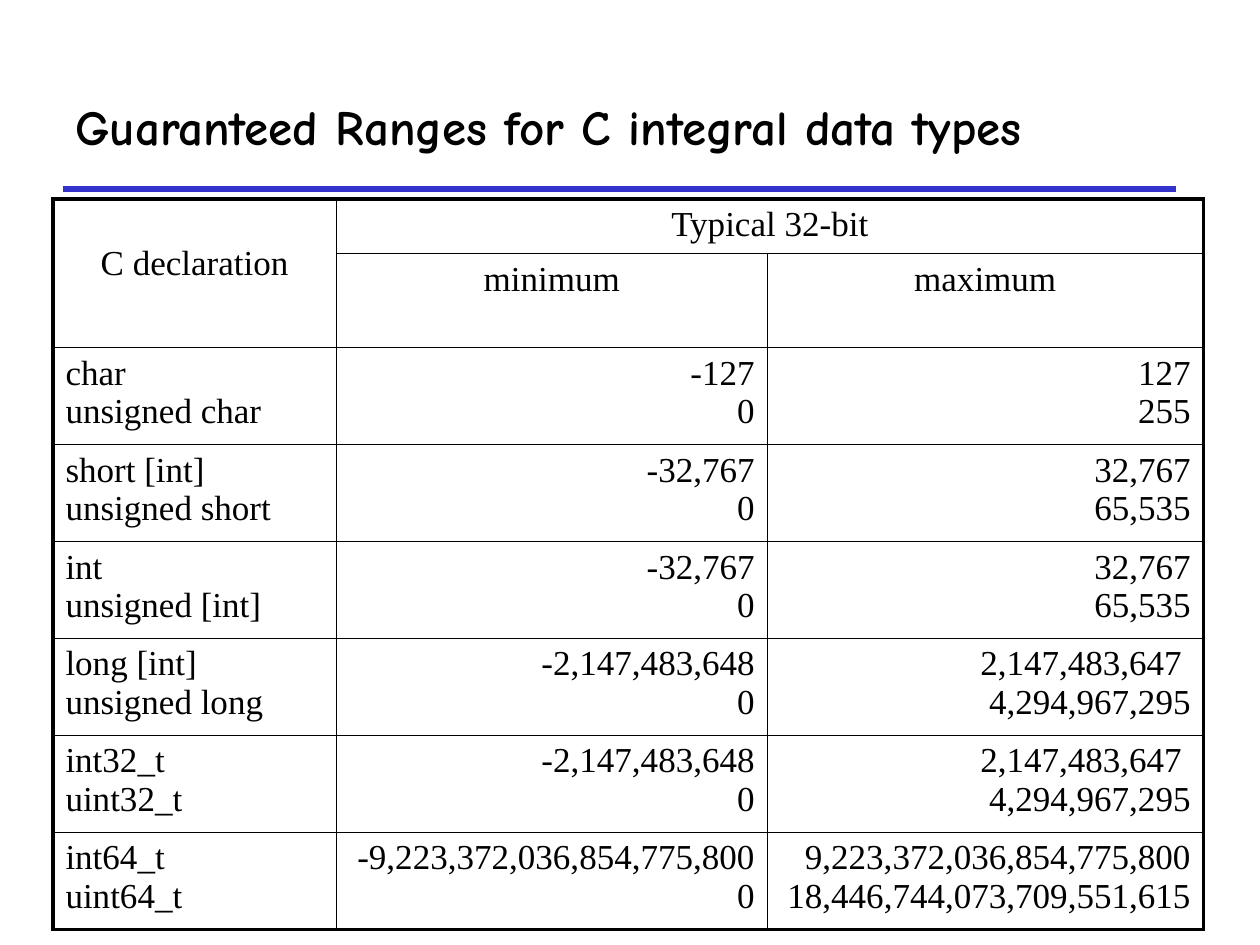
"""Build a slide with a table of the guaranteed ranges of C integral types."""
from lxml import etree
from pptx import Presentation
from pptx.dml.color import RGBColor
from pptx.enum.shapes import MSO_CONNECTOR
from pptx.enum.text import MSO_ANCHOR, PP_ALIGN
from pptx.oxml.ns import qn
from pptx.util import Inches, Pt

LEFT, CENTER, RIGHT = PP_ALIGN.LEFT, PP_ALIGN.CENTER, PP_ALIGN.RIGHT
MIDDLE = MSO_ANCHOR.MIDDLE
STRAIGHT = MSO_CONNECTOR.STRAIGHT
BLACK = RGBColor(0, 0, 0)
BLUE = RGBColor(0x33, 0x33, 0xCC)
THIN, THICK = 1, 2.25

TITLE = "Guaranteed Ranges for C integral data types"
HEADS = [
    ("C declaration", "Typical 32-bit", ""),
    ("", "minimum", "maximum"),
]
RANGES = [
    ("char\nunsigned char", "-127\n0", "127\n255"),
    ("short [int]\nunsigned short", "-32,767\n0", "32,767\n65,535"),
    ("int\nunsigned [int]", "-32,767\n0", "32,767\n65,535"),
    ("long [int]\nunsigned long", "-2,147,483,648\n0",
     "2,147,483,647 \n4,294,967,295"),
    ("int32_t\nuint32_t", "-2,147,483,648\n0",
     "2,147,483,647 \n4,294,967,295"),
    ("int64_t\nuint64_t", "-9,223,372,036,854,775,800\n0",
     "9,223,372,036,854,775,800\n18,446,744,073,709,551,615"),
]
WIDTHS = [2.25, 3.42, 3.46]
HEIGHTS = [0.43, 0.72] + [0.77] * len(RANGES)
ALIGNS = [LEFT, RIGHT, RIGHT]


def style(frame, font, size, align, bold=False):
    for para in frame.paragraphs:
        para.alignment = align
        for run in para.runs:
            run.font.name = font
            run.font.size = Pt(size)
            run.font.bold = bold
            run.font.color.rgb = BLACK


def add_title(slide):
    box = slide.shapes.add_textbox(Inches(0.5), Inches(0.5),
                                   Inches(8.83), Inches(1))
    frame = box.text_frame
    frame.word_wrap = True
    frame.vertical_anchor = MIDDLE
    frame.text = TITLE
    style(frame, "Comic Neue", 28, LEFT, True)


def add_rule(slide):
    rule = slide.shapes.add_connector(STRAIGHT, Inches(0.5), Inches(1.5),
                                      Inches(9.33), Inches(1.5))
    rule.line.color.rgb = BLUE
    rule.line.width = Pt(3)
    etree.SubElement(rule._element.spPr, qn("a:effectLst"))


def add_edges(cell, outer):
    props = cell._tc.get_or_add_tcPr()
    for side, thick in zip("LRTB", outer):
        width = Pt(THICK if thick else THIN)
        line = etree.SubElement(props, qn("a:ln" + side), w=str(width))
        fill = etree.SubElement(line, qn("a:solidFill"))
        etree.SubElement(fill, qn("a:srgbClr"), val=str(BLACK))


def add_ranges(slide):
    rows = HEADS + RANGES
    table = slide.shapes.add_table(
        len(rows), len(WIDTHS), Inches(0.42), Inches(1.58),
        Inches(sum(WIDTHS)), Inches(sum(HEIGHTS))).table
    table.first_row = table.horz_banding = False
    for col, width in zip(table.columns, WIDTHS):
        col.width = Inches(width)
    for row, height in zip(table.rows, HEIGHTS):
        row.height = Inches(height)
    table.cell(0, 0).merge(table.cell(1, 0))
    table.cell(0, 1).merge(table.cell(0, 2))
    for r, texts in enumerate(rows):
        for c, text in enumerate(texts):
            cell = table.cell(r, c)
            add_edges(cell, (c == 0, c + cell.span_width == len(WIDTHS),
                             r == 0, r + cell.span_height == len(rows)))
            cell.fill.background()
            if text:
                cell.text_frame.text = text
                align = CENTER if r < len(HEADS) else ALIGNS[c]
                style(cell.text_frame, "Times New Roman", 20, align)
    table.cell(0, 0).margin_top = Inches(0.36)


def main():
    deck = Presentation()
    deck.slide_width, deck.slide_height = Inches(10), Inches(7.5)
    slide = deck.slides.add_slide(deck.slide_layouts[6])
    add_rule(slide)
    add_title(slide)
    add_ranges(slide)
    deck.save("out.pptx")


if __name__ == "__main__":
    main()
